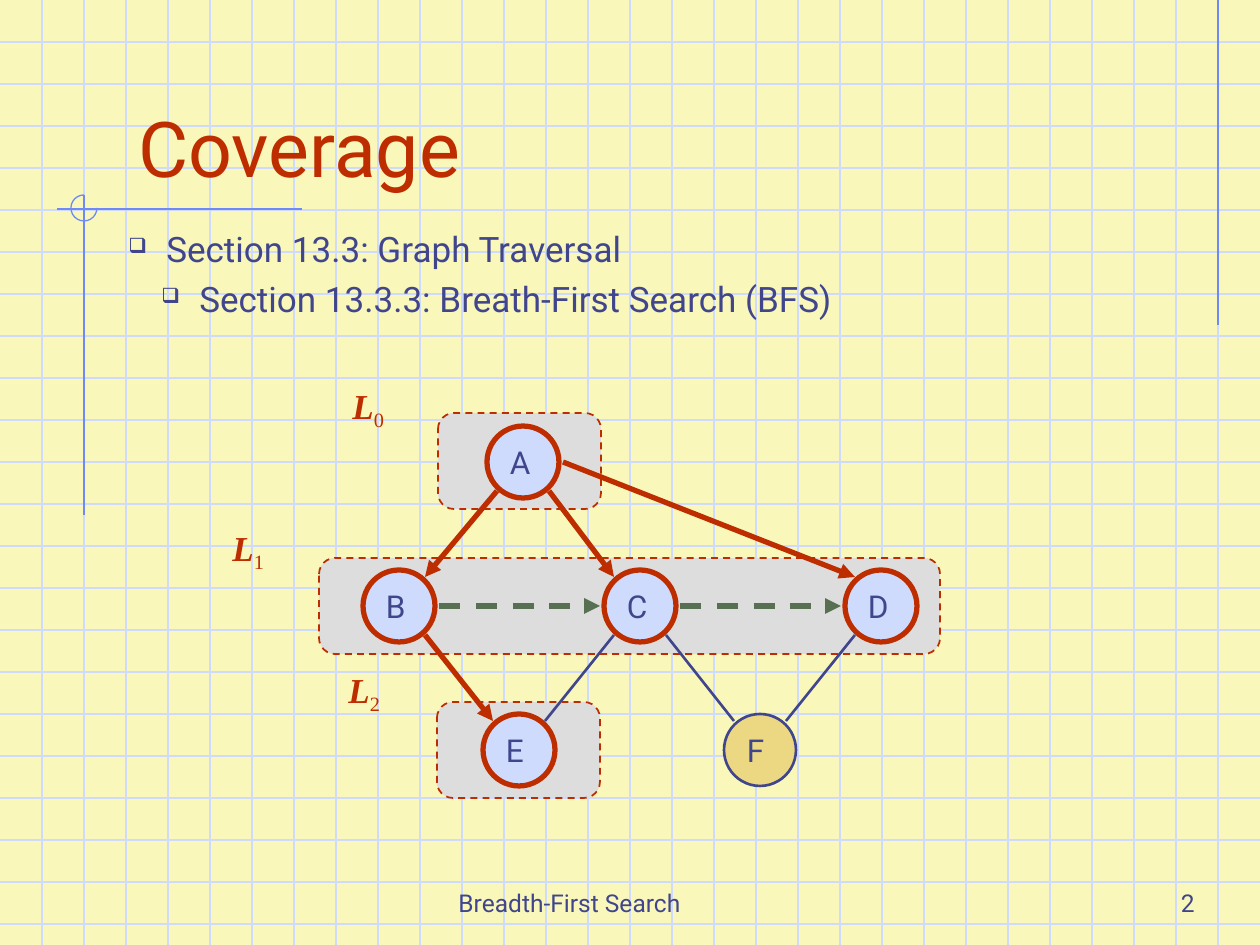
import pptx
import pptx.dml.color
import pptx.enum.dml
import pptx.enum.shapes
import pptx.enum.text
import pptx.oxml.ns
import pptx.util
from lxml import etree

RGBColor = pptx.dml.color.RGBColor
SHAPE = pptx.enum.shapes.MSO_SHAPE
ALIGN = pptx.enum.text.PP_ALIGN
ANCHOR = pptx.enum.text.MSO_ANCHOR
DASH = pptx.enum.dml.MSO_LINE.DASH
qn = pptx.oxml.ns.qn

PAPER = RGBColor(0xF9, 0xF8, 0xBA)
GRID = RGBColor(0xCF, 0xDB, 0xFD)
RULE = RGBColor(0x6F, 0x89, 0xF7)
NAVY = RGBColor(0x40, 0x45, 0x8C)
RED = RGBColor(0xBE, 0x2D, 0x00)
GREEN = RGBColor(0x57, 0x70, 0x52)
GRAY = RGBColor(0xDD, 0xDD, 0xDD)
BLUE = RGBColor(0xCF, 0xDB, 0xFD)
GOLD = RGBColor(0xEC, 0xD8, 0x82)

W, H, CELL = 1260, 945, 42
DIAMETER = 72
NODES = {"A": (523, 462), "B": (399, 606), "C": (640, 606),
         "D": (881, 606), "E": (519, 750), "F": (760, 750)}
LEVELS = [(438, 413, 163), (319, 558, 621), (437, 702, 163)]
LEVEL_LABELS = [(340, 378), (220, 520), (336, 662)]


def px(n):
    return pptx.util.Emu(round(n * 914400 / 126))


def add_run(p, text, size=20, color=NAVY, font="Roboto", bold=False,
            italic=False, baseline=0):
    r = p.add_run()
    r.text = text
    f = r.font
    f.size, f.name, f.bold, f.italic = pptx.util.Pt(size), font, bold, italic
    f.color.rgb = color
    if baseline:
        r._r.get_or_add_rPr().set("baseline", str(baseline * 1000))


def add_textbox(s, x, y, w, h, anchor=ANCHOR.TOP, align=ALIGN.LEFT):
    tf = s.shapes.add_textbox(px(x), px(y), px(w), px(h)).text_frame
    tf.word_wrap = True
    tf.vertical_anchor = anchor
    tf.paragraphs[0].alignment = align
    return tf


def add_line(s, x1, y1, x2, y2, color, width=0.75, dash=False, arrow=False):
    cn = s.shapes.add_connector(pptx.enum.shapes.MSO_CONNECTOR.STRAIGHT,
                                px(x1), px(y1), px(x2), px(y2))
    cn.line.color.rgb = color
    cn.line.width = pptx.util.Pt(width)
    if dash:
        cn.line.dash_style = DASH
    if arrow:
        etree.SubElement(cn.line._get_or_add_ln(), qn("a:tailEnd"), type="triangle")
    etree.SubElement(cn._element.spPr, qn("a:effectLst"))


def add_shape(s, kind, x, y, w, h, fill, color, width):
    sp = s.shapes.add_shape(kind, px(x), px(y), px(w), px(h))
    sp.shadow.inherit = False
    if fill is None:
        sp.fill.background()
    else:
        sp.fill.solid()
        sp.fill.fore_color.rgb = fill
    sp.line.color.rgb = color
    sp.line.width = pptx.util.Pt(width)
    return sp


def add_bullet(p, indent):
    pPr = p._p.get_or_add_pPr()
    pPr.set("marL", str(px(indent)))
    pPr.set("indent", str(px(-38)))
    clr = etree.SubElement(pPr, qn("a:buClr"))
    etree.SubElement(clr, qn("a:srgbClr"), val=str(NAVY))
    etree.SubElement(pPr, qn("a:buSzPct"), val="60000")
    etree.SubElement(pPr, qn("a:buChar"), char="❑")


def add_node(s, name, fill=BLUE, color=RED, width=3):
    x, y = NODES[name]
    half = DIAMETER / 2
    sp = add_shape(s, SHAPE.OVAL, x - half, y - half, DIAMETER, DIAMETER,
                   fill, color, width)
    tf = sp.text_frame
    tf.word_wrap = False
    tf.vertical_anchor = ANCHOR.MIDDLE
    tf.paragraphs[0].alignment = ALIGN.LEFT
    add_run(tf.paragraphs[0], name, size=18)


def add_edge(s, start, end, color, width, start_gap=None, **style):
    (x1, y1), (x2, y2) = NODES[start], NODES[end]
    sign = 1 if x2 > x1 else -1
    rise = (y2 > y1) - (y2 < y1)
    gap = (26, 29 * rise) if rise else (40, 0)
    sx, sy = start_gap or gap
    add_line(s, x1 + sign * sx, y1 + sy, x2 - sign * gap[0], y2 - gap[1],
             color, width, **style)


def add_notebook(s):
    for y in range(CELL, H, CELL):
        add_line(s, 0, y, W, y, GRID)
    for x in range(CELL, W, CELL):
        add_line(s, x, 0, x, H, GRID)
    add_line(s, 1218, 0, 1218, 325, RULE)
    add_line(s, 302, 209, 57, 209, RULE)
    add_line(s, 84, 195, 84, 515, RULE)
    arc = add_shape(s, SHAPE.ARC, 71, 195, 26, 26, None, RULE, 0.75)
    arc.adjustments[0] = 0
    arc.adjustments[1] = 162


def add_texts(s):
    title = add_textbox(s, 126, 42, 1071, 157, ANCHOR.BOTTOM)
    add_run(title.paragraphs[0], "Coverage", size=44, color=RED)
    body = add_textbox(s, 116, 221, 892, 105)
    p = body.paragraphs[0]
    add_bullet(p, 38)
    add_run(p, "Section 13.3: Graph Traversal")
    p = body.add_paragraph()
    p.level = 1
    p.space_before = pptx.util.Pt(5)
    add_bullet(p, 71)
    add_run(p, "Section 13.3.3: Breath-First Search (BFS)")
    for x, w, text in [(294, 399, "Breadth-First Search"), (945, 262, "2")]:
        tf = add_textbox(s, x, 861, w, 63, ANCHOR.BOTTOM, ALIGN.RIGHT)
        add_run(tf.paragraphs[0], text, size=14)


def add_graph(s):
    for x, y, w in LEVELS:
        box = add_shape(s, SHAPE.ROUNDED_RECTANGLE, x, y, w, 96, GRAY, RED, 1)
        box.line.dash_style = DASH
    for name in "ABCDE":
        add_node(s, name)
    add_node(s, "F", GOLD, NAVY, 1.5)
    for start, end in ["AB", "AC", "BE"]:
        add_edge(s, start, end, RED, 3, arrow=True)
    add_edge(s, "A", "D", RED, 3, start_gap=(40, 0), arrow=True)
    for start, end in ["BC", "CD"]:
        add_edge(s, start, end, GREEN, 3, dash=True, arrow=True)
    for start, end in ["EC", "CF", "FD"]:
        add_edge(s, start, end, NAVY, 1.5)
    for level, (x, y) in enumerate(LEVEL_LABELS):
        p = add_textbox(s, x, y, 92, 60).paragraphs[0]
        add_run(p, "L", color=RED, font="Times New Roman", bold=True, italic=True)
        add_run(p, str(level), color=RED, font="Times New Roman", baseline=-25)


def main():
    prs = pptx.Presentation()
    prs.slide_width, prs.slide_height = px(W), px(H)
    s = prs.slides.add_slide(prs.slide_layouts[6])
    s.background.fill.solid()
    s.background.fill.fore_color.rgb = PAPER
    add_notebook(s)
    add_texts(s)
    add_graph(s)
    prs.save("out.pptx")


if __name__ == "__main__":
    main()
